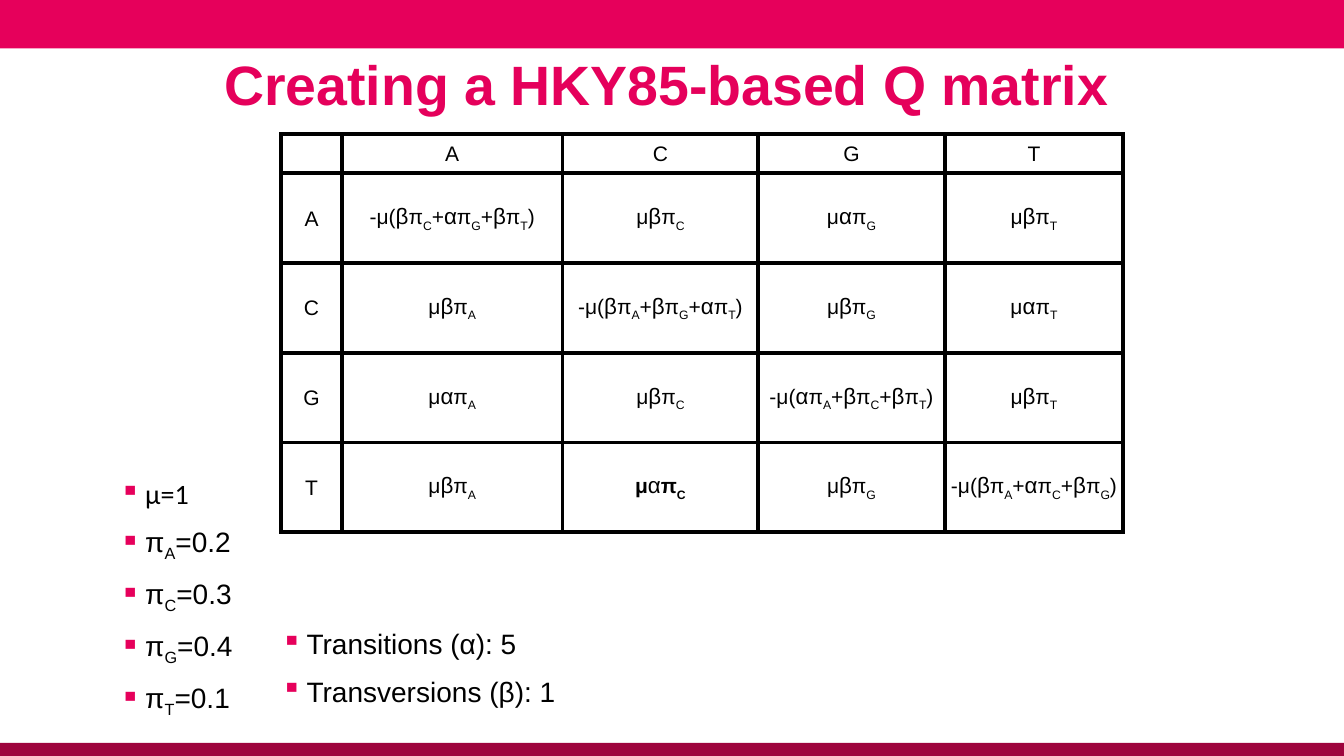
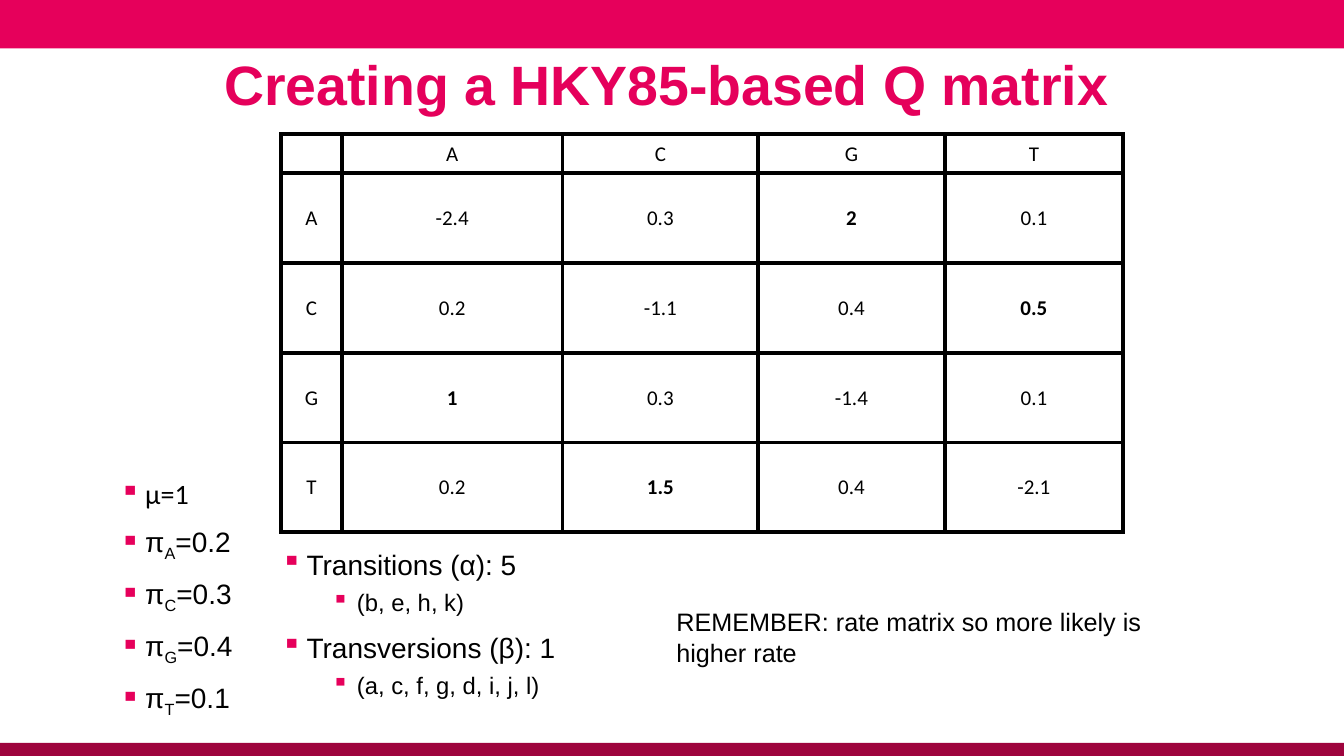
import itertools

import lxml.etree
import pptx
import pptx.dml.color
import pptx.enum.shapes
import pptx.enum.text
import pptx.oxml.ns
import pptx.util

Inches = pptx.util.Inches
Pt = pptx.util.Pt
Align = pptx.enum.text.PP_ALIGN
Anchor = pptx.enum.text.MSO_ANCHOR

BASES = "ACGT"
SHARES = ["μ=1", "πA=0.2", "πC=0.3", "πG=0.4", "πT=0.1"]

# A leading star marks a bold cell.
RATES = [
    ["-μ(βπC+απG+βπT)", "μβπC", "μαπG", "μβπT"],
    ["μβπA", "-μ(βπA+βπG+απT)", "μβπG", "μαπT"],
    ["μαπA", "μβπC", "-μ(απA+βπC+βπT)", "μβπT"],
    ["μβπA", "*μαπC", "μβπG", "-μ(βπA+απC+βπG)"],
]
VALUES = [
    ["-2.4", "0.3", "*2", "0.1"],
    ["0.2", "-1.1", "0.4", "*0.5"],
    ["*1", "0.3", "-1.4", "0.1"],
    ["0.2", "*1.5", "0.4", "-2.1"],
]


def color(code):
    return pptx.dml.color.RGBColor.from_string(code)


def add_node(parent, tag, **attrs):
    return lxml.etree.SubElement(parent, pptx.oxml.ns.qn(tag), **attrs)


def role(pair):
    """Tell a base written under π and a rate letter from plain text."""
    last, char = pair
    if last == "π" and char in BASES:
        return "base"
    return "rate" if char in "αβ" else "plain"


class Deck:
    pink, wine, rose, black = "E6005B", "9E043D", "E5005B", "000000"
    font = "Arial"
    wide, high = 13.33, 7.5
    cols = [0.6, 2.19, 1.94, 1.85, 1.77]
    rows = [0.39] + [0.89] * 4

    def __init__(self):
        self.show = pptx.Presentation()
        self.show.slide_width = Inches(self.wide)
        self.show.slide_height = Inches(self.high)
        self.slide = None

    def start(self, title):
        self.slide = self.show.slides.add_slide(self.show.slide_layouts[5])
        self.band(0, 0.48, self.pink)
        self.band(7.37, 0.13, self.wine)
        self.title(title)

    def band(self, top, height, fill):
        shape = self.slide.shapes.add_shape(
            pptx.enum.shapes.MSO_SHAPE.RECTANGLE,
            0, Inches(top), Inches(self.wide), Inches(height))
        shape.shadow.inherit = False
        shape.fill.solid()
        shape.fill.fore_color.rgb = color(fill)
        shape.line.fill.background()

    def title(self, text):
        shape = self.slide.shapes.title
        shape.left, shape.top = Inches(0.48), Inches(0.49)
        shape.width, shape.height = Inches(12.36), Inches(0.75)
        frame = shape.text_frame
        frame.text = text
        frame.margin_left = 0
        frame.vertical_anchor = Anchor.MIDDLE
        frame.auto_size = pptx.enum.text.MSO_AUTO_SIZE.NONE
        para = frame.paragraphs[0]
        para.alignment = Align.CENTER
        para.line_spacing = 0.9
        self.style(para.runs[0], 39.6, self.font, True, self.rose)

    def style(self, run, size, font, bold=False, ink=black):
        run.font.size = Pt(size)
        run.font.name = font
        run.font.bold = bold
        run.font.color.rgb = color(ink)

    def fill_para(self, para, text, size, font, rate=None, bold=False):
        """Fill a paragraph, lowering bases; rate is the size of α and β."""
        pairs = zip(" " + text, text)
        for kind, group in itertools.groupby(pairs, role):
            run = para.add_run()
            run.text = "".join(char for _, char in group)
            is_rate = rate and kind == "rate"
            self.style(run, rate if is_rate else size, font,
                       bold and not is_rate)
            if kind == "base":
                run._r.get_or_add_rPr().set("baseline", "-25000")

    def box(self, left, top, width, height):
        shape = self.slide.shapes.add_textbox(
            Inches(left), Inches(top), Inches(width), Inches(height))
        shape.text_frame.word_wrap = True
        return shape.text_frame

    def note(self, text, left, top, width, height):
        para = self.box(left, top, width, height).paragraphs[0]
        self.fill_para(para, text, 18, self.font)

    def bullets(self, items, left, top, width, height):
        """List items; those in brackets go one level down."""
        frame = self.box(left, top, width, height)
        frame.margin_left = 0
        for index, text in enumerate(items):
            para = frame.add_paragraph() if index else frame.paragraphs[0]
            sub = text.startswith("(")
            para.level = int(sub)
            para.space_before = Pt(5 if sub else 10)
            props = para._p.get_or_add_pPr()
            props.set("marL", str(Inches(0.75 if sub else 0.25)))
            props.set("indent", str(Inches(-0.25)))
            tint = add_node(props, "a:buClr")
            add_node(tint, "a:srgbClr", val=self.pink)
            add_node(props, "a:buChar", char="▪")
            font = "Calibri" if text.startswith("μ") else self.font
            self.fill_para(para, text, 17 if sub else 20, font)

    def matrix(self, body, font):
        table = self.slide.shapes.add_table(
            len(self.rows), len(self.cols), Inches(2.79), Inches(1.33),
            Inches(sum(self.cols)), Inches(sum(self.rows))).table
        table.first_row = table.horz_banding = False
        for col, width in zip(table.columns, self.cols):
            col.width = Inches(width)
        for row, height in zip(table.rows, self.rows):
            row.height = Inches(height)
        grid = [["", *BASES]]
        grid += [[base, *line] for base, line in zip(BASES, body)]
        for cell, text in zip(table.iter_cells(), itertools.chain(*grid)):
            self.cell(cell, text, font)

    def cell(self, cell, text, font):
        cell.margin_left = cell.margin_right = Inches(0.01)
        cell.margin_top, cell.margin_bottom = Inches(0.01), 0
        cell.vertical_anchor = Anchor.MIDDLE
        props = cell._tc.get_or_add_tcPr()
        for side in "LRTB":
            edge = add_node(props, "a:ln" + side, w=str(Pt(3)))
            fill = add_node(edge, "a:solidFill")
            add_node(fill, "a:srgbClr", val=self.black)
        cell.fill.background()
        para = cell.text_frame.paragraphs[0]
        para.alignment = Align.CENTER
        bold = text.startswith("*")
        self.fill_para(para, text.lstrip("*"), 15, font, 16, bold)


def main():
    deck = Deck()
    for body, font in [(RATES, "Arial"), (VALUES, "Calibri")]:
        deck.start("Creating a HKY85-based Q matrix")
        deck.bullets(SHARES, 1.19, 4.68, 1.69, 2.57)
        deck.matrix(body, font)
        if body is RATES:
            deck.bullets(["Transitions (α): 5", "Transversions (β): 1"],
                         2.79, 6.17, 3.28, 1.07)
        else:
            deck.bullets(["Transitions (α): 5", "(b, e, h, k)",
                          "Transversions (β): 1", "(a, c, f, g, d, i, j, l)"],
                         2.79, 5.38, 3.28, 1.86)
            deck.note("REMEMBER: rate matrix so more likely is higher rate",
                      6.61, 5.97, 5.53, 0.4)
    deck.show.save("out.pptx")


if __name__ == "__main__":
    main()
